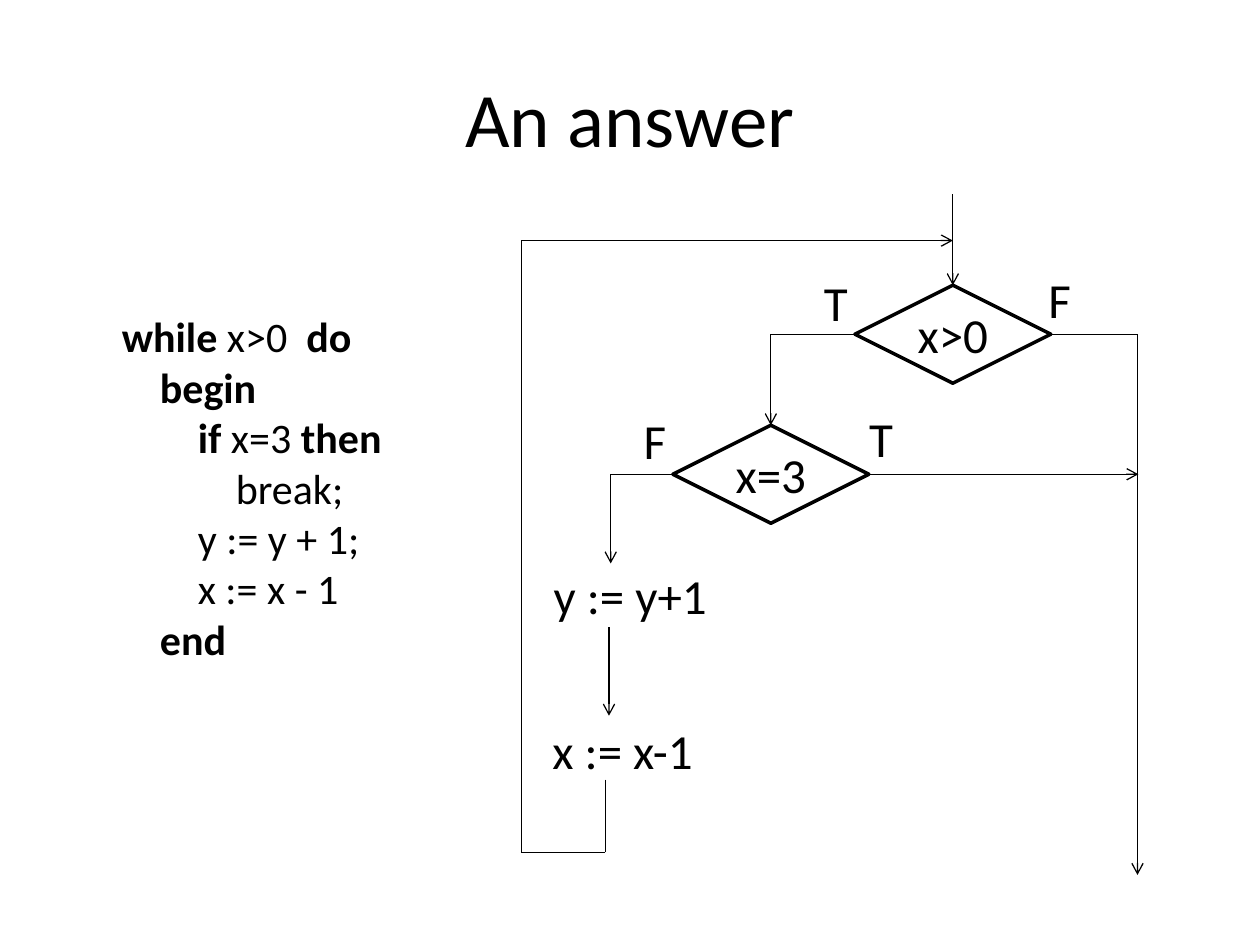
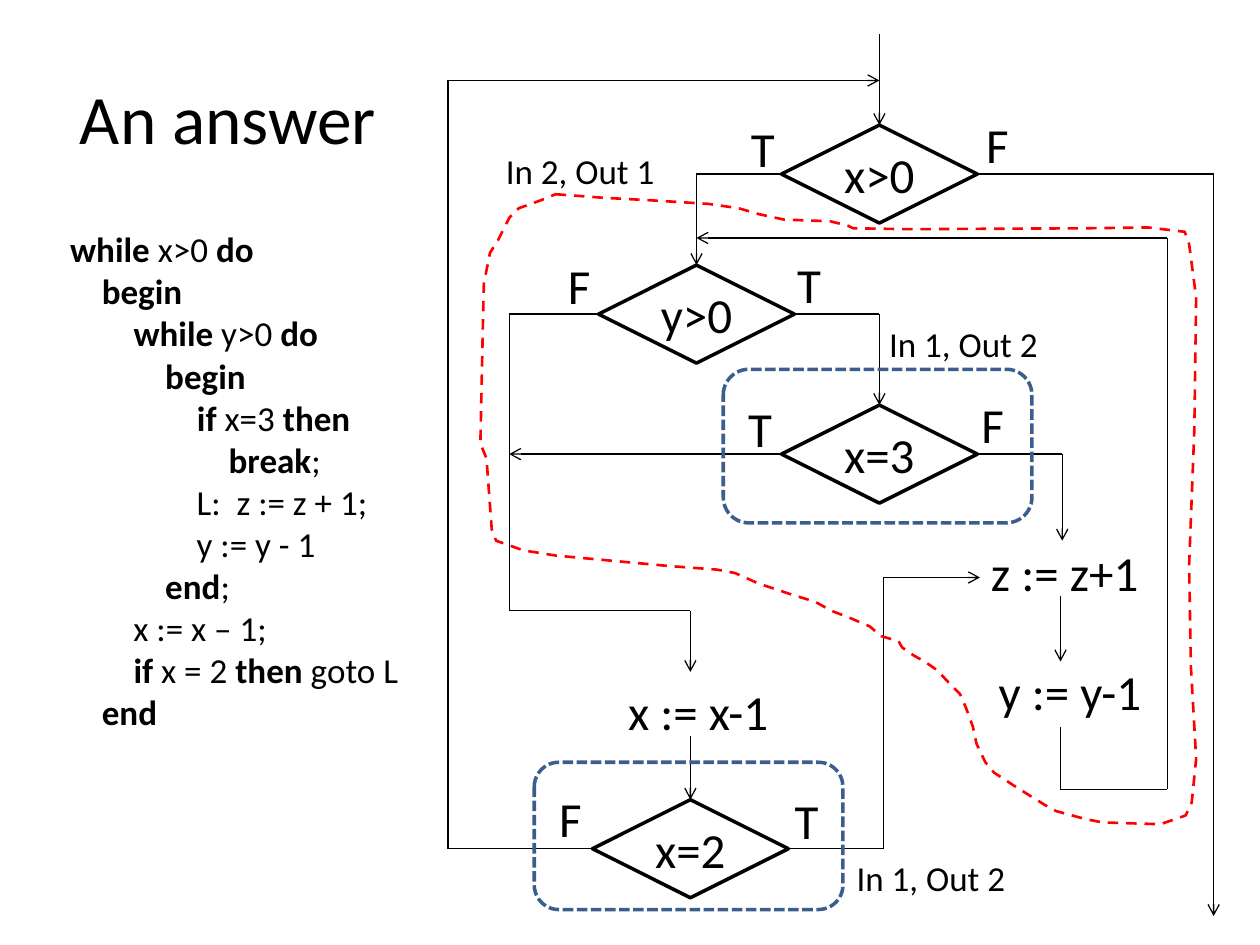
from lxml import etree
from pptx import Presentation
from pptx.dml.color import RGBColor
from pptx.enum import dml, shapes, text
from pptx.oxml.ns import qn
from pptx.util import Pt

BLACK, BLUE, RED = "000000", "3A5F8C", "FF0000"
TOP, LEFT, BOTTOM, RIGHT = range(4)

# Code listings: words between asterisks are bold
BREAK_CODE = """*while* x>0  *do*
    *begin*
        *if* x=3 *then*
            break;
        y := y + 1;
        x := x - 1
    *end*"""

GOTO_CODE = """*while* x>0 *do*
    *begin*
        *while* y>0 *do*
            *begin*
                *if* x=3 *then*
                    *break*;
                L:  z := z + 1;
                y := y - 1
            *end*;
        x := x – 1;
        *if* x = 2 *then* goto L
    *end*"""

# Outline around the inner loop, clockwise from its upper left
INNER_LOOP = [
    (317.5, 111), (344, 113), (372, 114.5), (404.5, 116.5), (422, 119),
    (434, 122.5), (448, 125.5), (474.5, 126.5), (484.5, 129), (487.5, 130.5),
    (519, 131), (620, 130.5), (656, 130), (677, 132.5), (679.5, 139.5),
    (683.5, 170), (682.5, 245), (679.5, 323), (680.5, 381), (683.5, 433.5),
    (681, 458.5), (677.5, 466), (670.5, 468.5), (663, 471), (630, 470),
    (620, 468), (603.5, 463.5), (597, 460), (581, 450), (568, 441.5),
    (563, 435.5), (558, 425), (556, 415.5), (552, 404.5), (548.5, 396.5),
    (542, 390), (535.5, 383), (529, 378.5), (522, 374.5), (515.5, 370),
    (513.5, 366.5), (503.5, 363.5), (497, 358), (486.5, 353.5), (475, 349),
    (466, 344), (450, 339), (433.5, 333.5), (420, 327.5), (409.5, 325.5),
    (382.5, 323.5), (317.5, 317.5), (299, 314.5), (283.5, 309), (281, 302.5),
    (278, 262), (274.5, 253.5), (276, 183.5), (276.5, 162), (280, 144.5),
    (284.5, 137.5), (291, 124.5), (296.5, 119), (309, 114.5),
]


def color(value):
    return RGBColor.from_string(value)


def write(tf, content, size=28, align=text.PP_ALIGN.LEFT, fill=BLACK, font="Calibri"):
    """Fill a text frame, one paragraph a line, with *bold* parts."""
    for i, line in enumerate(content.split("\n")):
        p = tf.paragraphs[0] if i == 0 else tf.add_paragraph()
        p.alignment = align
        for j, part in enumerate(line.split("*")):
            if part:
                r = p.add_run()
                r.text = part
                r.font.name, r.font.size = font, Pt(size)
                r.font.bold = j % 2 == 1
                r.font.color.rgb = color(fill)


class FlowDeck:
    diamond_w, diamond_h = 112, 56
    thin, thick = 0.75, 2

    def __init__(self):
        self.prs = Presentation()
        self.prs.slide_width, self.prs.slide_height = Pt(720), Pt(540)
        self.s = None

    def slide(self, title, width, size):
        self.s = self.prs.slides.add_slide(self.prs.slide_layouts[5])
        sp = self.s.shapes.title
        sp.left, sp.top, sp.width, sp.height = Pt(36), Pt(21.6), Pt(width), Pt(90)
        tf = sp.text_frame
        tf.auto_size = text.MSO_AUTO_SIZE.NONE
        tf.vertical_anchor = text.MSO_ANCHOR.MIDDLE
        write(tf, title, size=size, align=text.PP_ALIGN.CENTER)

    def label(self, content, x, y, w=28, h=41, size=28, wrap=False):
        tf = self.s.shapes.add_textbox(Pt(x), Pt(y), Pt(w), Pt(h)).text_frame
        tf.word_wrap = wrap
        tf.auto_size = text.MSO_AUTO_SIZE.SHAPE_TO_FIT_TEXT
        write(tf, content, size=size)

    def outline(self, sp, line, width, dash=None):
        sp.shadow.inherit = False
        sp.fill.background()
        sp.line.color.rgb = color(line)
        sp.line.width = Pt(width)
        if dash:
            sp.line.dash_style = dash
        return sp

    def decision(self, test, cx, cy):
        w, h = self.diamond_w, self.diamond_h
        sp = self.s.shapes.add_shape(shapes.MSO_SHAPE.DIAMOND, Pt(cx - w / 2),
                                     Pt(cy - h / 2), Pt(w), Pt(h))
        self.outline(sp, BLACK, self.thick)
        tf = sp.text_frame
        tf.word_wrap = False
        tf.vertical_anchor = text.MSO_ANCHOR.MIDDLE
        write(tf, test, align=text.PP_ALIGN.CENTER)
        return sp

    def region(self, x, y, w, h):
        sp = self.s.shapes.add_shape(shapes.MSO_SHAPE.ROUNDED_RECTANGLE,
                                     Pt(x), Pt(y), Pt(w), Pt(h))
        self.outline(sp, BLUE, self.thick, dml.MSO_LINE.SQUARE_DOT)

    def loop_outline(self, points):
        start, *rest = [(Pt(x), Pt(y)) for x, y in points]
        fb = self.s.shapes.build_freeform(*start)
        fb.add_line_segments(rest, close=True)
        self.outline(fb.convert_to_shape(), RED, 1.5, dml.MSO_LINE.DASH)

    @staticmethod
    def locate(node):
        """Position of a node: a point, or a (shape, side) pair."""
        if not hasattr(node[0], "left"):
            return Pt(node[0]), Pt(node[1])
        sp, side = node
        cx, cy = sp.left + sp.width // 2, sp.top + sp.height // 2
        return [(cx, sp.top), (sp.left, cy), (cx, sp.top + sp.height),
                (sp.left + sp.width, cy)][side]

    def route(self, *nodes):
        """Straight lines through the nodes, with an arrow at the end."""
        for a, b in zip(nodes, nodes[1:]):
            c = self.s.shapes.add_connector(shapes.MSO_CONNECTOR.STRAIGHT,
                                            *self.locate(a), *self.locate(b))
            if hasattr(a[0], "left"):
                c.begin_connect(*a)
            if hasattr(b[0], "left"):
                c.end_connect(*b)
            c.line.color.rgb = color(BLACK)
            c.line.width = Pt(self.thin)
            props = c._element.spPr
            if b is nodes[-1]:
                etree.SubElement(props.find(qn("a:ln")), qn("a:tailEnd"), type="arrow")
            etree.SubElement(props, qn("a:effectLst"))


def break_slide(d):
    d.slide("An answer", 648, 44)
    d.label(BREAK_CODE, 62.6, 174.2, 184.3, 211, size=24, wrap=True)

    # Decisions and statements
    x_pos = d.decision("x>0", 544.5, 191)
    x_three = d.decision("x=3", 440.5, 271)
    for answer, x, y in [("T", 463.7, 152), ("F", 592, 150.5),
                         ("F", 360.7, 231), ("T", 489.6, 229.7)]:
        d.label(answer, x, y)
    d.label("y := y+1", 309.3, 319.7, 103)
    d.label("x := x-1", 308.6, 408.2, 97)

    # Flow
    d.route((544.5, 111), (x_pos, TOP))
    d.route((x_pos, RIGHT), (650, 191), (650, 500))
    d.route((x_pos, LEFT), (440.5, 191), (x_three, TOP))
    d.route((x_three, RIGHT), (650.5, 271))
    d.route((x_three, LEFT), (349, 271), (349, 322))
    d.route((348, 358.5), (348, 409))
    d.route((346, 445.5), (346, 487), (298, 487), (298, 137.5), (544.5, 137.5))


def goto_slide(d):
    d.slide("An answer", 188.6, 39.6)
    d.label(GOTO_CODE, 33, 126.7, 210, 298, size=20, wrap=True)

    # Decisions and statements
    x_pos = d.decision("x>0", 502.5, 99.5)
    y_pos = d.decision("y>0", 398, 179.5)
    x_three = d.decision("x=3", 502.5, 259.5)
    x_two = d.decision("x=2", 394.5, 485)
    for answer, x, y in [("T", 422, 64), ("F", 556.5, 62), ("F", 317.5, 142.5),
                         ("T", 448.5, 142), ("T", 420.5, 224), ("F", 553.7, 222),
                         ("F", 312.5, 447), ("T", 447, 448)]:
        d.label(answer, x, y)
    d.label("x := x-1", 351.8, 386, 97)
    d.label("z := z+1", 559.2, 306.7, 100)
    d.label("y := y-1", 563.5, 374.4, 98)

    # Outer loop
    d.route((502.5, 19.5), (x_pos, TOP))
    d.route((x_pos, RIGHT), (693.5, 99.5), (693.5, 523.5))
    d.route((x_pos, LEFT), (398, 99.5), (y_pos, TOP))
    d.route((394.5, 420.5), (x_two, TOP))
    d.route((x_two, LEFT), (256, 485), (256, 46), (502.5, 46))
    d.route((x_two, RIGHT), (505, 485), (505, 330), (560, 330))

    # Inner loop
    d.route((y_pos, LEFT), (291, 179.5), (291, 349), (394.5, 349), (394.5, 384))
    d.route((y_pos, RIGHT), (502.5, 179.5), (x_three, TOP))
    d.route((x_three, LEFT), (291, 259.5))
    d.route((x_three, RIGHT), (607, 259.5), (607, 309))
    d.route((606, 340.5), (606, 378))
    d.route((606, 415.5), (606, 451), (667, 451), (667, 136), (398, 136))

    # Regions with their entry and exit counts
    d.region(413.3, 211, 176.4, 87.8)
    d.region(305.3, 435.6, 176.4, 84.2)
    d.loop_outline(INNER_LOOP)
    for count, x, y in [("In 1, Out 2", 501, 180.7), ("In 1, Out 2", 482.4, 486),
                        ("In 2, Out 1", 282, 82)]:
        d.label(count, x, y, 100, 31.5, size=20)


def main():
    d = FlowDeck()
    break_slide(d)
    goto_slide(d)
    d.prs.save("out.pptx")


if __name__ == "__main__":
    main()
